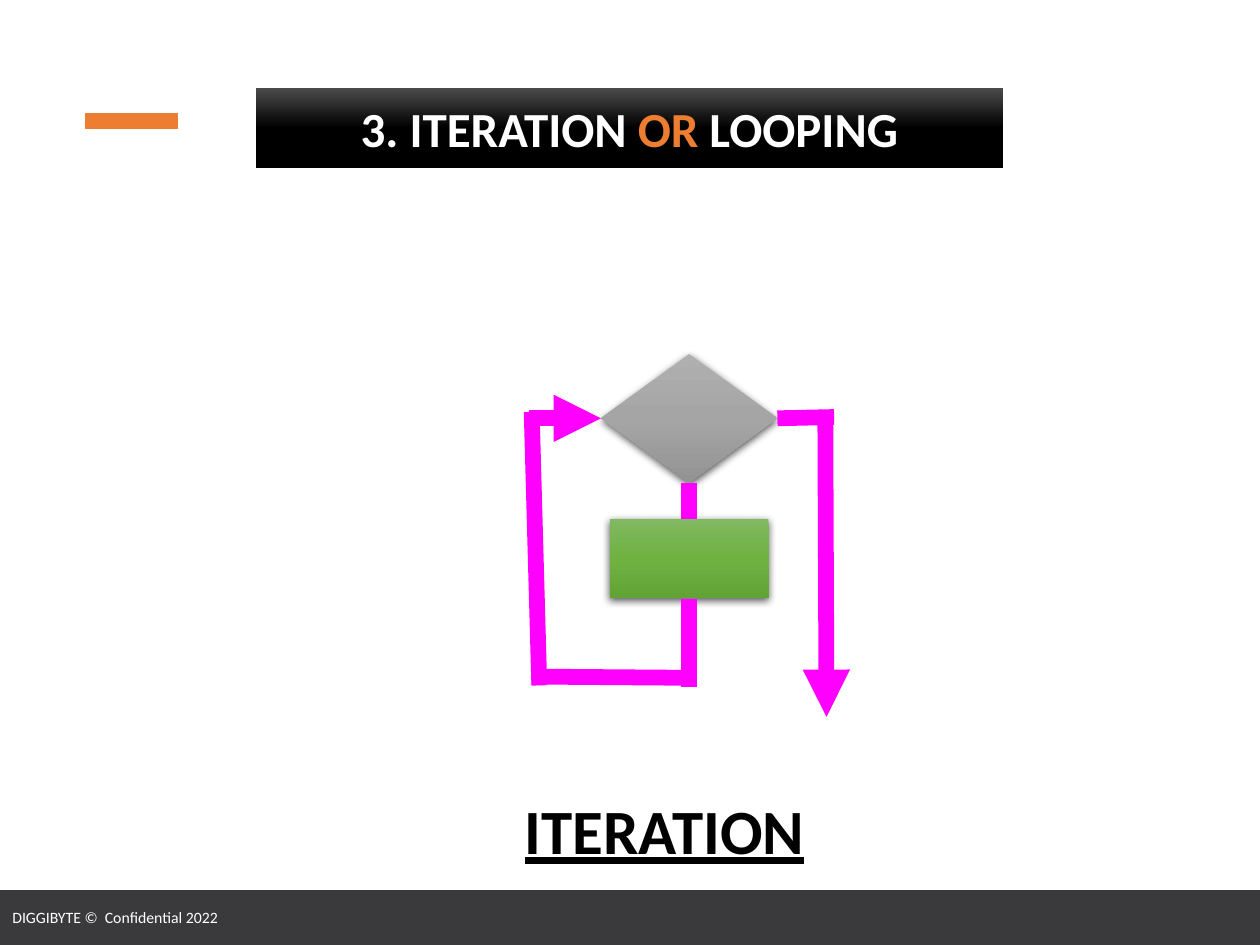
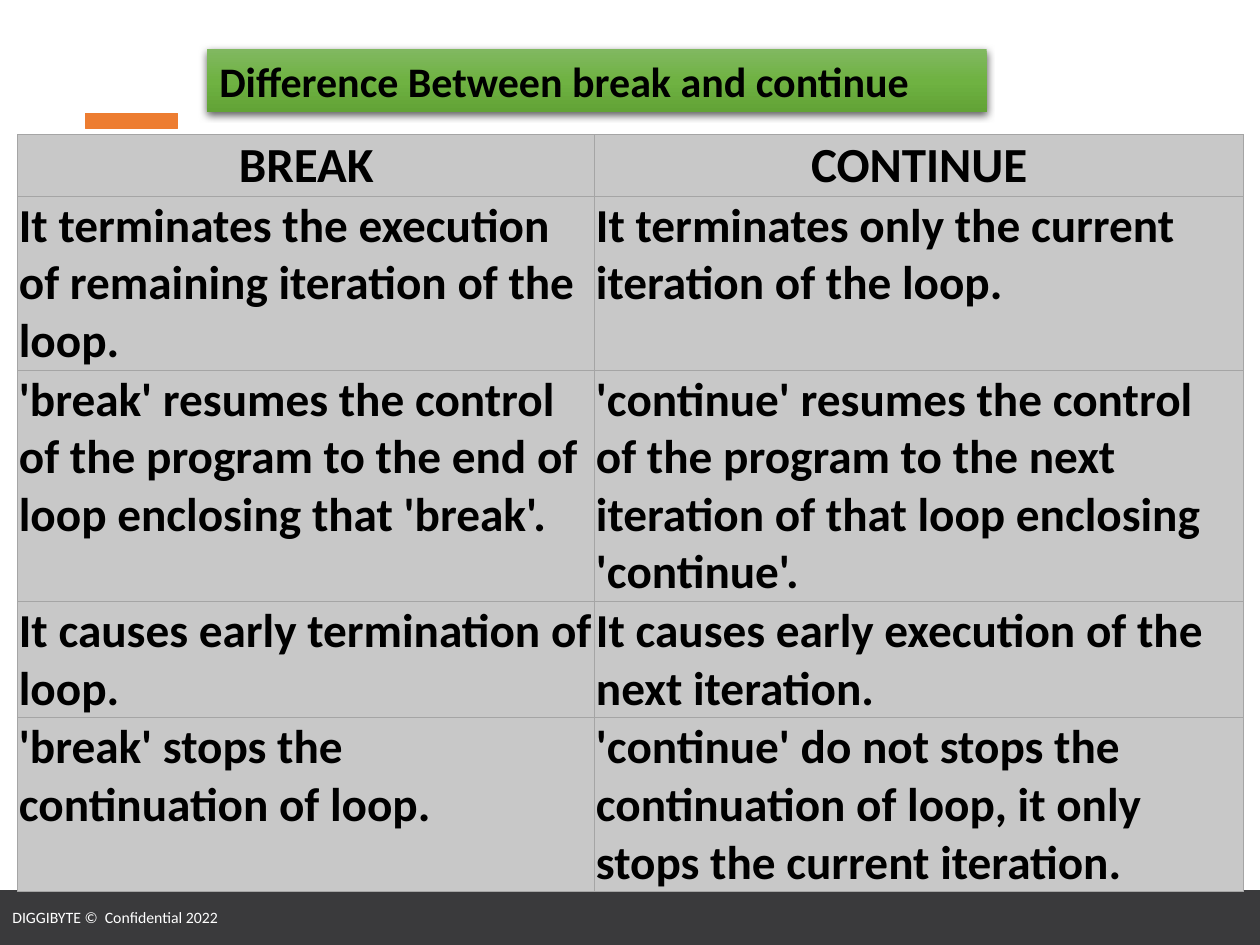
import copy

import pptx
import pptx.dml.color
import pptx.enum.shapes
import pptx.enum.text
import pptx.oxml
import pptx.oxml.ns
import pptx.util

EMU_PER_PX = 9144  # 100 px to the inch
FONT = "Calibri"
BLACK, WHITE = "000000", "FFFFFF"
ORANGE, MAGENTA, CHARCOAL = "ED7D31", "FF00FF", "3A3A3C"
CELL_GREY, BORDER_GREY = "C8C8C8", "A5A5A5"
BLACK_GLOSS = ("4B4B4B", BLACK, BLACK)
GREY_GLOSS = ("AFAFAF", "A5A5A5", "939393")
GREEN_GLOSS = ("81B861", "6FB242", "62A336")

SHAPE = pptx.enum.shapes.MSO_SHAPE
ALIGN = pptx.enum.text.PP_ALIGN
ANCHOR = pptx.enum.text.MSO_ANCHOR
AUTO_SIZE = pptx.enum.text.MSO_AUTO_SIZE

COMPARISON = [
    ("BREAK", "CONTINUE"),
    ("It terminates the execution of remaining iteration of the loop.",
     "It terminates only the current iteration of the loop."),
    ("'break' resumes the control of the program to the end of loop enclosing that 'break'.",
     "'continue' resumes the control of the program to the next iteration of that loop "
     "enclosing 'continue'."),
    ("It causes early termination of loop.",
     "It causes early execution of the next iteration."),
    ("'break' stops the continuation of loop.",
     "'continue' do not stops the continuation of loop, it only stops the current iteration."),
]


def px(*lengths):
    return [pptx.util.Emu(length * EMU_PER_PX) for length in lengths]


def rgb(hex_color):
    return pptx.dml.color.RGBColor.from_string(hex_color)


def xml(tag, attributes="", children=""):
    """Return a DrawingML element."""
    return pptx.oxml.parse_xml(
        f'<a:{tag} {pptx.oxml.ns.nsdecls("a")} {attributes}>{children}</a:{tag}>')


def solid(color):
    return f'<a:solidFill><a:srgbClr val="{color}"/></a:solidFill>'


class Deck:
    """The shared style and the slide being built."""

    def __init__(self):
        self.presentation = pptx.Presentation()
        self.presentation.slide_width, self.presentation.slide_height = px(1000, 750)
        self.slide = None

    def new_slide(self):
        self.slide = self.presentation.slides.add_slide(self.presentation.slide_layouts[5])
        footer = self.box(SHAPE.RECTANGLE, (0, 707, 1000, 42), CHARCOAL)
        self.set_text(footer.text_frame, ["DIGGIBYTE ©  Confidential 2022"], 9, [WHITE])
        self.box(SHAPE.RECTANGLE, (68, 90, 73, 12), ORANGE)

    def set_text(self, frame, pieces, size, colors=(BLACK,), align=ALIGN.LEFT,
                 anchor=ANCHOR.MIDDLE, bold=False, underline=False):
        """Fill a text frame with one paragraph, one run for each piece."""
        frame.word_wrap = True
        frame.vertical_anchor = anchor
        paragraph = frame.paragraphs[0]
        paragraph.alignment = align
        for piece, color in zip(pieces, colors):
            run = paragraph.add_run()
            run.text = piece
            font = run.font
            font.name, font.size, font.bold = FONT, pptx.util.Pt(size), bold
            font.underline = underline
            font.color.rgb = rgb(color)

    def gloss(self, shape, colors):
        """Fill with a three-stop gradient running downwards, without outline."""
        shape.fill.gradient()
        shape.fill.gradient_angle = 270
        stops = shape._element.spPr.find(".//" + pptx.oxml.ns.qn("a:gsLst"))
        stops.insert(1, copy.deepcopy(stops[0]))
        for stop, color, position in zip(shape.fill.gradient_stops, colors, (0, 0.5, 1)):
            stop.color.rgb = rgb(color)
            stop.position = position
        shape.line.fill.background()

    def drop_shadow(self, shape):
        shape.shadow.inherit = False
        effects = shape._element.spPr.find(pptx.oxml.ns.qn("a:effectLst"))
        effects.append(xml(
            "outerShdw", 'blurRad="57150" dist="19050" dir="5400000" algn="ctr" rotWithShape="0"',
            '<a:srgbClr val="000000"><a:alpha val="63000"/></a:srgbClr>'))

    def title(self, frame, pieces, size, gloss, **style):
        heading = self.slide.shapes.title
        heading.left, heading.top, heading.width, heading.height = px(*frame)
        self.gloss(heading, gloss)
        heading.text_frame.auto_size = AUTO_SIZE.NONE
        self.set_text(heading.text_frame, pieces, size, bold=True, **style)
        return heading

    def box(self, kind, frame, color):
        shape = self.slide.shapes.add_shape(kind, *px(*frame))
        shape.shadow.inherit = False
        shape.fill.solid()
        shape.fill.fore_color.rgb = shape.line.color.rgb = rgb(color)
        shape.line.width = pptx.util.Pt(1)
        return shape

    def glossy_box(self, kind, frame, colors):
        shape = self.slide.shapes.add_shape(kind, *px(*frame))
        self.gloss(shape, colors)
        self.drop_shadow(shape)
        return shape

    def caption(self, frame, text, size):
        label = self.slide.shapes.add_textbox(*px(*frame))
        self.set_text(label.text_frame, [text], size, align=ALIGN.CENTER,
                      anchor=ANCHOR.TOP, bold=True, underline=True)

    def flow(self, start, end, joined_from=None, joined_to=None, arrow=False):
        """Draw a thick line; a join is a (shape, side) pair."""
        line = self.slide.shapes.add_connector(
            pptx.enum.shapes.MSO_CONNECTOR.STRAIGHT, *px(*start, *end))
        line.line.color.rgb = rgb(MAGENTA)
        line.line.width = pptx.util.Pt(9)
        if arrow:
            outline = line._element.spPr.find(pptx.oxml.ns.qn("a:ln"))
            outline.append(xml("tailEnd", 'type="triangle"'))
        line._element.spPr.append(xml("effectLst"))
        if joined_from:
            line.begin_connect(*joined_from)
        if joined_to:
            line.end_connect(*joined_to)

    def table(self, left, top, widths, heights, rows):
        grid = self.slide.shapes.add_table(
            len(rows), len(widths), *px(left, top, sum(widths), sum(heights))).table
        grid.first_row = grid.horz_banding = False
        for column, width in zip(grid.columns, px(*widths)):
            column.width = width
        for row, height in zip(grid.rows, px(*heights)):
            row.height = height
        for row_index, texts in enumerate(rows):
            for column_index, text in enumerate(texts):
                self.cell(grid.cell(row_index, column_index), text, is_header=row_index == 0)

    def cell(self, cell, text, is_header):
        cell.margin_left, cell.margin_top, cell.margin_right, cell.margin_bottom = px(1, 1, 1, 0)
        self.set_text(cell.text_frame, [text], 28 if is_header else 27, bold=True,
                      align=ALIGN.CENTER if is_header else ALIGN.LEFT)
        cell.vertical_anchor = ANCHOR.MIDDLE if is_header else ANCHOR.TOP
        properties = cell._tc.get_or_add_tcPr()
        for side in ("lnL", "lnR", "lnT", "lnB"):
            properties.append(xml(side, 'w="6350"', solid(BORDER_GREY)))
        cell.fill.solid()
        cell.fill.fore_color.rgb = rgb(CELL_GREY)


def iteration_slide(deck):
    deck.new_slide()
    deck.title((203, 70, 593, 63), ["3. ITERATION ", "OR", " LOOPING"], 28, BLACK_GLOSS,
               colors=(WHITE, ORANGE, WHITE), align=ALIGN.CENTER)
    deck.caption((391, 623, 273, 71), "ITERATION", 36)

    condition = deck.glossy_box(SHAPE.FLOWCHART_DECISION, (477, 281, 140, 102), GREY_GLOSS)
    body = deck.glossy_box(SHAPE.RECTANGLE, (484, 412, 126, 63), GREEN_GLOSS)
    deck.flow((547, 383), (547, 412), (condition, 2), (body, 0))

    # Back to the condition
    deck.flow((547, 475), (547, 545), joined_from=(body, 2))
    deck.flow((553, 538), (422, 537))
    deck.flow((428, 544), (422, 327))
    deck.flow((420, 332), (477, 332), joined_to=(condition, 1), arrow=True)

    # Out of the loop
    deck.flow((617, 332), (662, 331), joined_from=(condition, 3))
    deck.flow((655, 326), (656, 569), arrow=True)


def comparison_slide(deck):
    deck.new_slide()
    heading = deck.title((164, 39, 619, 50), ["Difference Between break and continue"], 24,
                         GREEN_GLOSS, anchor=ANCHOR.TOP)
    deck.drop_shadow(heading)
    deck.table(14, 107, (458, 515), (47, 136, 182, 91, 136), COMPARISON)


def main():
    deck = Deck()
    iteration_slide(deck)
    comparison_slide(deck)
    deck.presentation.save("out.pptx")


if __name__ == "__main__":
    main()
